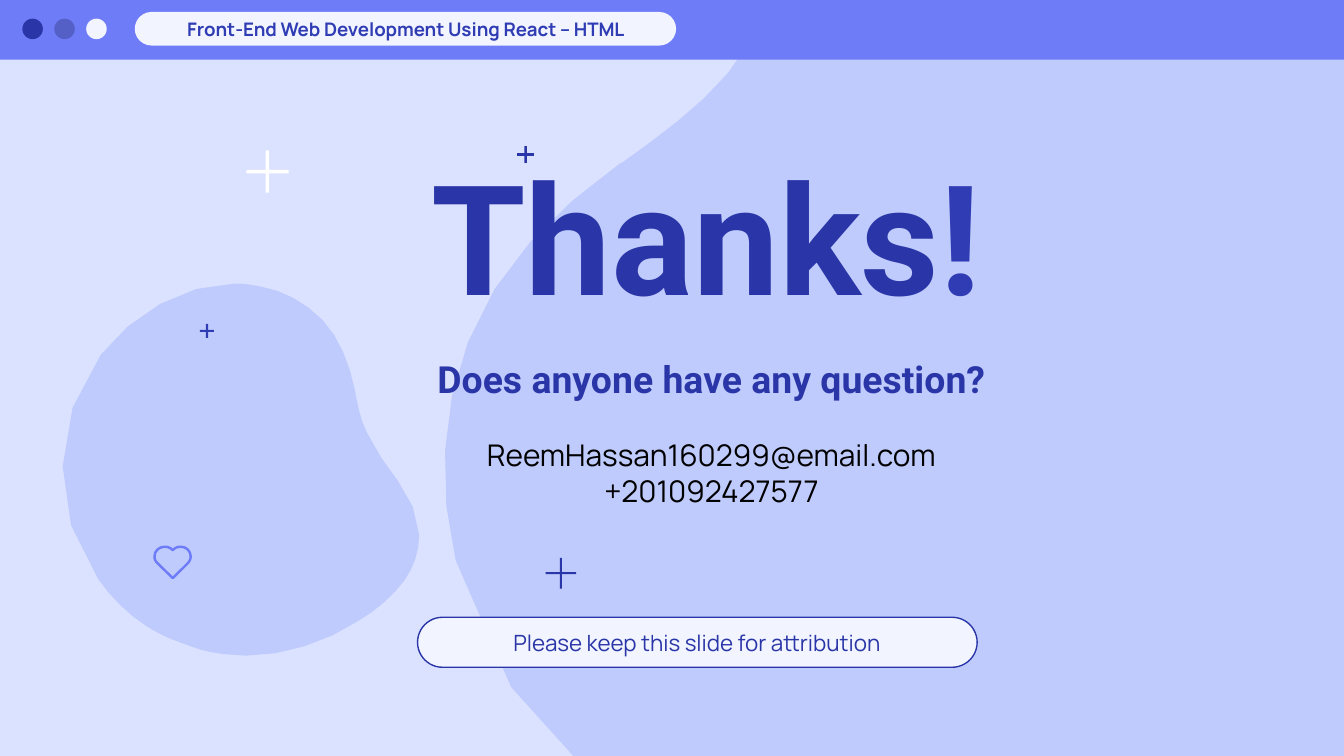
from pptx import Presentation
from pptx import util as u
from pptx.dml.color import RGBColor
from pptx.enum import shapes, text

Pt = u.Pt
NAVY = RGBColor(0x2A, 0x36, 0xA7)
INDIGO = RGBColor(0x2F, 0x3C, 0xB4)
MUTED = RGBColor(0x55, 0x60, 0xC7)
VIOLET = RGBColor(0x6F, 0x7C, 0xF8)
BLOB = RGBColor(0xBF, 0xCB, 0xFC)
BACKGROUND = RGBColor(0xDB, 0xE2, 0xFF)
PALE = RGBColor(0xF2, 0xF5, 0xFF)
WHITE = RGBColor(0xFF, 0xFF, 0xFF)
BLACK = RGBColor(0, 0, 0)
RECT = shapes.MSO_SHAPE.RECTANGLE
OVAL = shapes.MSO_SHAPE.OVAL
PILL = shapes.MSO_SHAPE.ROUNDED_RECTANGLE

LARGE_BLOB = [
    (557.3, -122.4),
    (539.3, -122.4, 521.3, -118.8, 504.7, -110.9),
    (443.5, -80.6, 431.3, -8.6, 390.2, 38.9),
    (373.7, 58.3, 353.5, 72.7, 333.4, 87.1),
    (331.9, 87.8),
    (297.4, 112.3, 265.7, 143.3, 250.6, 183.6),
    (236.2, 220.3, 234.7, 262.1, 244.1, 300.2),
    (267.1, 398.2, 362.9, 468, 456.5, 489.6),
    (478.8, 494.6, 501.1, 496.8, 523.4, 496.8),
    (633.6, 496.8, 740.9, 437, 794.9, 339.1),
    (812.9, 306, 825.1, 270, 830.2, 233.3),
    (833, 213.1, 833.8, 192.2, 832.3, 172.1),
    (830.9, 154.1),
    (828, 128.9, 821.5, 103.7, 812.2, 80.6),
    (786.2, 15.1, 735.8, -42.5, 676.1, -80.6),
    (648, -98.6, 617, -113.8, 584.6, -119.5),
    (575.3, -121.7, 566.6, -122.4, 557.3, -122.4),
]
SMALL_BLOB = [
    (126, 151.9),
    (97.9, 151.9, 70.6, 168.5, 54, 190.1),
    (27.4, 224.6, 26.6, 275, 52.6, 310.3),
    (59.8, 320.4, 68.4, 329, 78.5, 335.5),
    (84.2, 339.1, 90, 342, 96.5, 344.2),
    (102.2, 346.3),
    (109.4, 349.2, 118.1, 350.6, 126, 350.9),
    (131.8, 351.3),
    (152.6, 351.3, 174.2, 344.2, 192.2, 332.6),
    (201.6, 326.9, 210.2, 319.7, 216.7, 311),
    (221.8, 303.8, 224.6, 295.2, 224.6, 286.6),
    (223.9, 264.2, 204.5, 250.6, 196.6, 231.8),
    (193, 224.6, 191.5, 216.7, 190.1, 208.8),
    (187.2, 195.1, 182.2, 181.4, 172.8, 171.4),
    (163.4, 162, 151.9, 155.5, 139, 153.4),
    (134.6, 152.6, 130.3, 151.9, 126, 151.9),
]
HEART = [
    (92.6, 294.7),
    (94, 293.2, 95.6, 292.9, 97, 292.9),
    (99.8, 292.9, 102.2, 295.2, 102.2, 298.1),
    (102.2, 299.7, 101.4, 301, 100.4, 302),
    (92.6, 309.7),
    (84.4, 301.7),
    (83.4, 300.8, 82.8, 299.6, 82.8, 298.1),
    (82.8, 295.2, 85.2, 292.9, 88.2, 292.9),
    (89.8, 292.9, 91.2, 293.3, 92.6, 294.7),
]
PLUSES = [
    (110.9, 177.3, 7.6, 1.2, INDIGO),
    (143.3, 91.9, 22.6, 1.9, WHITE),
    (281.6, 82.8, 9, 1.4, NAVY),
    (300.5, 307.1, 16.4, 1.1, NAVY),
]
DOTS = [(12, NAVY), (29.1, MUTED), (46.2, PALE)]


def bezier(a, b, c, d, t):
    m = 1 - t
    return m ** 3 * a + 3 * m * m * t * b + 3 * m * t * t * c + t ** 3 * d


def outline(curve, steps):
    pts = [curve[0]]
    for seg in curve[1:]:
        if len(seg) == 2:
            pts.append(seg)
            continue
        x, y = pts[-1]
        for i in range(1, steps + 1):
            t = i / steps
            pts.append((bezier(x, *seg[0::2], t), bezier(y, *seg[1::2], t)))
    return [(Pt(x), Pt(y)) for x, y in pts]


def paint(sp, fill=None, line=None, width=0.75):
    sp.shadow.inherit = False
    if fill is None:
        sp.fill.background()
    else:
        sp.fill.solid()
        sp.fill.fore_color.rgb = fill
    if line is None:
        sp.line.fill.background()
    else:
        sp.line.color.rgb = line
        sp.line.width = Pt(width)
    return sp


def add_curve(s, curve, steps=4, **style):
    pts = outline(curve, steps)
    fb = s.shapes.build_freeform(*pts[0])
    fb.add_line_segments(pts[1:-1], close=True)
    return paint(fb.convert_to_shape(), **style)


def add_block(s, kind, x, y, w, h, **style):
    sp = s.shapes.add_shape(kind, Pt(x), Pt(y), Pt(w), Pt(h))
    if kind == PILL:
        sp.adjustments[0] = 0.5
    return paint(sp, **style)


def add_plus(s, cx, cy, size, thick, color):
    for w, h in ((thick, size), (size, thick)):
        add_block(s, RECT, cx - w / 2, cy - h / 2, w, h, fill=color)


def add_textbox(s, x, y, w, h):
    return s.shapes.add_textbox(Pt(x), Pt(y), Pt(w), Pt(h)).text_frame


def setup(tf, left=7.2, edge=0, anchor=text.MSO_ANCHOR.TOP):
    tf.word_wrap = True
    tf.vertical_anchor = anchor
    tf.margin_left, tf.margin_right = Pt(left), Pt(7.2)
    tf.margin_top = tf.margin_bottom = Pt(edge)
    return tf.paragraphs[0]


def add_run(p, words, size, font, color, bold=False):
    p.alignment = text.PP_ALIGN.CENTER
    r = p.add_run()
    r.text = words
    r.font.size, r.font.name, r.font.bold = Pt(size), font, bold
    r.font.color.rgb = color


def add_contact(s):
    tf = add_textbox(s, 191.5, 190.8, 379.4, 87.8)
    p = setup(tf)
    add_run(p, "Does anyone have any question?", 20, "Roboto", NAVY, True)
    p.space_after = Pt(19)
    for words in ("ReemHassan160299@email.com", "+201092427577"):
        p = tf.add_paragraph()
        add_run(p, words, 16, "Manrope", BLACK)


def main():
    prs = Presentation()
    prs.slide_width, prs.slide_height = Pt(720), Pt(405)
    s = prs.slides.add_slide(prs.slide_layouts[6])
    s.background.fill.solid()
    s.background.fill.fore_color.rgb = BACKGROUND

    add_curve(s, LARGE_BLOB, fill=BLOB)
    add_block(s, RECT, -1.4, -1.4, 722.8, 33.3, fill=VIOLET)
    for x, color in DOTS:
        add_block(s, OVAL, x, 10, 11, 11, fill=color)
    add_curve(s, SMALL_BLOB, fill=BLOB)
    add_block(s, PILL, 72.2, 6.4, 290, 18, fill=PALE)
    for plus in PLUSES:
        add_plus(s, *plus)
    add_curve(s, HEART, line=VIOLET, width=1.3)

    middle = text.MSO_ANCHOR.MIDDLE
    p = setup(add_textbox(s, 81.2, 6.5, 272.2, 18), anchor=middle)
    add_run(p, "Front-End Web Development Using React – HTML", 10, "Manrope", INDIGO, True)

    p = setup(add_textbox(s, 136.1, 76.6, 411.8, 95.8), left=79.6)
    add_run(p, "Thanks", 82, "Roboto", NAVY, True)
    add_run(p, "!", 82, "Roboto", INDIGO, True)
    add_contact(s)

    sp = add_block(s, PILL, 223.7, 330.7, 299.8, 26.8, fill=PALE, line=NAVY)
    p = setup(sp.text_frame, edge=7.2, anchor=middle)
    add_run(p, "Please keep this slide for attribution", 12, "Manrope", NAVY)

    prs.save("out.pptx")


if __name__ == "__main__":
    main()
